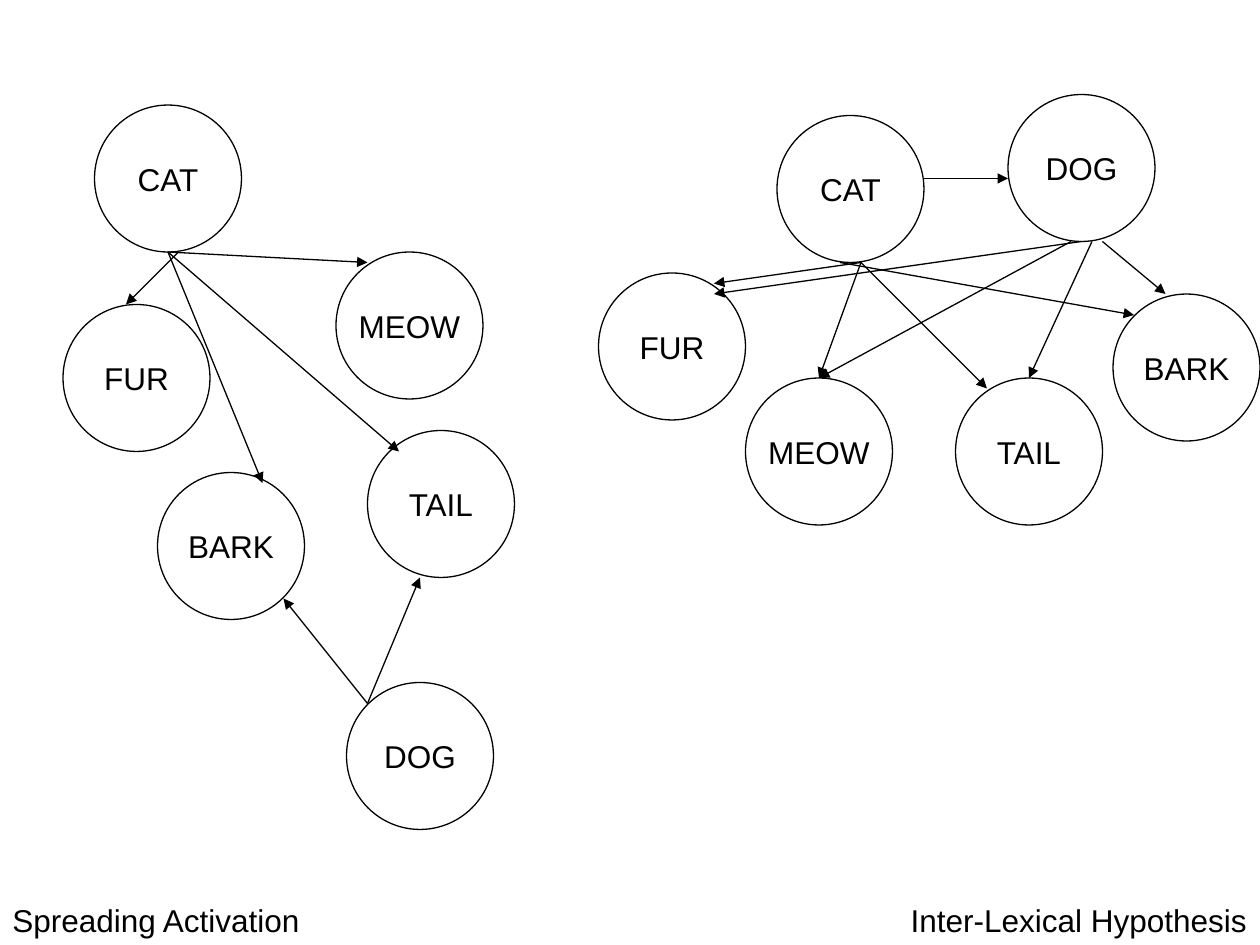
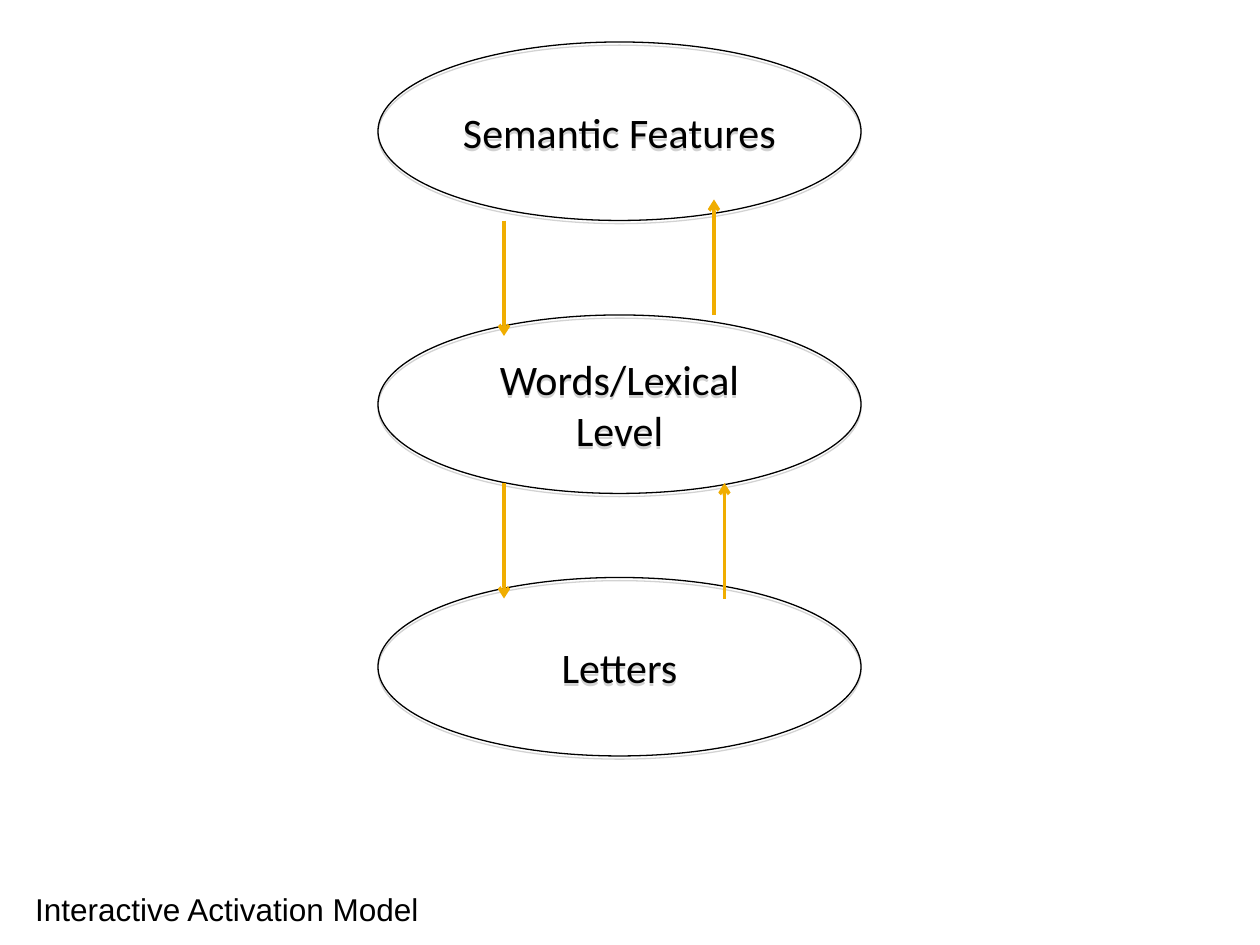
"""Build two slides of lexical activation diagrams on a grid of twelfths of an inch."""
from dataclasses import dataclass

from lxml import etree
from pptx import Presentation, util as u
from pptx.dml.color import RGBColor
from pptx.enum import shapes, text
from pptx.oxml.ns import qn

CONCEPT_SIZE = (14, 14)
LEVEL_SIZE = (46, 17)

SPREADING_CONCEPTS = {
    "CAT": (9, 10), "DOG": (33, 65), "MEOW": (32, 24),
    "TAIL": (35, 41), "BARK": (15, 45), "FUR": (6, 29),
}
SPREADING_LINKS = [
    ((17, 24), (12, 29)), ((16, 24), (35, 25)), ((16, 24), (38, 43)),
    ((16, 24), (25, 46)), ((35, 67), (27, 57)), ((35, 67), (40, 55)),
]
INTER_LEXICAL_CONCEPTS = {
    "CAT": (74, 11), "DOG": (96, 9), "MEOW": (71, 36),
    "TAIL": (91, 36), "BARK": (106, 28), "FUR": (57, 26),
}
INTER_LEXICAL_LINKS = [
    ((82, 25), (68, 27)), ((80, 25), (108, 30)), ((82, 25), (78, 36)),
    ((82, 25), (94, 37)), ((104, 23), (98, 36)), ((105, 23), (111, 28)),
    ((103, 23), (68, 28)), ((102, 23), (78, 36)), ((88, 17), (96, 17)),
]
LEVELS = {"Semantic Features": (36, 4), "Words/Lexical Level": (36, 30), "Letters": (36, 55)}
LEVEL_LINKS = [
    ((68, 30), (68, 19)), ((69, 57), (69, 46)),
    ((48, 21), (48, 32)), ((48, 46), (48, 57)),
]
HYPOTHESIS_CAPTIONS = [
    ("Inter-Lexical Hypothesis", 18.11, 18.03, 7.29),
    ("Spreading Activation", 0, 18.03, 6.32),
]
MODEL_CAPTIONS = [("Interactive Activation Model", 0.46, 17.81, 8.26)]


@dataclass(frozen=True)
class Theme:
    ink: RGBColor = RGBColor(0, 0, 0)
    accent: RGBColor = RGBColor(0xF0, 0xAD, 0)
    shadow: str = "808080"
    body_font: str = "Arial"
    level_font: str = "Calibri"
    body_size: float = 18
    level_size: float = 24
    thin: float = 0.75
    thick: float = 2


THEME = Theme()
BODY = {"name": THEME.body_font, "size": u.Pt(THEME.body_size)}
LEVEL = {"name": THEME.level_font, "size": u.Pt(THEME.level_size)}


def grid(count):
    return u.Cm(2.54 * count / 12)


def apply(target, values):
    for name, value in values.items():
        setattr(target, name, value)


def write(shape, words, font, frame, alignment):
    apply(shape.text_frame, frame)
    paragraph = shape.text_frame.paragraphs[0]
    paragraph.alignment = alignment
    run = paragraph.add_run()
    run.text = words
    apply(run.font, font)
    run.font.color.rgb = THEME.ink


def add_shadow(shape):
    effects = shape.element.spPr.find(qn("a:effectLst"))
    outer = etree.SubElement(effects, qn("a:outerShdw"), blurRad="0",
                             dist=str(u.Pt(1.8)), dir="5400000", rotWithShape="0")
    color = etree.SubElement(outer, qn("a:srgbClr"), val=THEME.shadow)
    etree.SubElement(color, qn("a:alpha"), val="35000")


def add_ellipses(slide, places, size, font, wrap=False, shadow=False):
    frame = {"word_wrap": wrap, "vertical_anchor": text.MSO_ANCHOR.MIDDLE}
    for words, place in places.items():
        shape = slide.shapes.add_shape(shapes.MSO_SHAPE.OVAL, *map(grid, place + size))
        shape.shadow.inherit = False
        shape.fill.background()
        shape.line.color.rgb = THEME.ink
        shape.line.width = u.Pt(THEME.thin)
        write(shape, words, font, frame, text.PP_ALIGN.CENTER)
        if shadow:
            add_shadow(shape)


def add_arrows(slide, links, color=THEME.ink, width=THEME.thin, head="triangle"):
    for start, end in links:
        connector = slide.shapes.add_connector(
            shapes.MSO_CONNECTOR.STRAIGHT, *map(grid, start + end))
        connector.line.color.rgb = color
        connector.line.width = u.Pt(width)
        properties = connector.element.spPr
        etree.SubElement(properties.find(qn("a:ln")), qn("a:tailEnd"), type=head)
        etree.SubElement(properties, qn("a:effectLst"))


def add_captions(slide, captions):
    frame = {"word_wrap": False, "auto_size": text.MSO_AUTO_SIZE.SHAPE_TO_FIT_TEXT}
    for words, *place in captions:
        box = slide.shapes.add_textbox(*map(u.Cm, (*place, 1.02)))
        write(box, words, BODY, frame, text.PP_ALIGN.LEFT)


def main():
    presentation = Presentation()
    apply(presentation, {"slide_width": u.Cm(25.4), "slide_height": u.Cm(19.05)})
    blank = presentation.slide_layouts[6]

    hypotheses = presentation.slides.add_slide(blank)
    for concepts, links in ((SPREADING_CONCEPTS, SPREADING_LINKS),
                            (INTER_LEXICAL_CONCEPTS, INTER_LEXICAL_LINKS)):
        add_ellipses(hypotheses, concepts, CONCEPT_SIZE, BODY)
        add_arrows(hypotheses, links)
    add_captions(hypotheses, HYPOTHESIS_CAPTIONS)

    model = presentation.slides.add_slide(blank)
    add_ellipses(model, LEVELS, LEVEL_SIZE, LEVEL, wrap=True, shadow=True)
    add_captions(model, MODEL_CAPTIONS)
    add_arrows(model, LEVEL_LINKS, THEME.accent, THEME.thick, "arrow")

    presentation.save("out.pptx")


if __name__ == "__main__":
    main()
